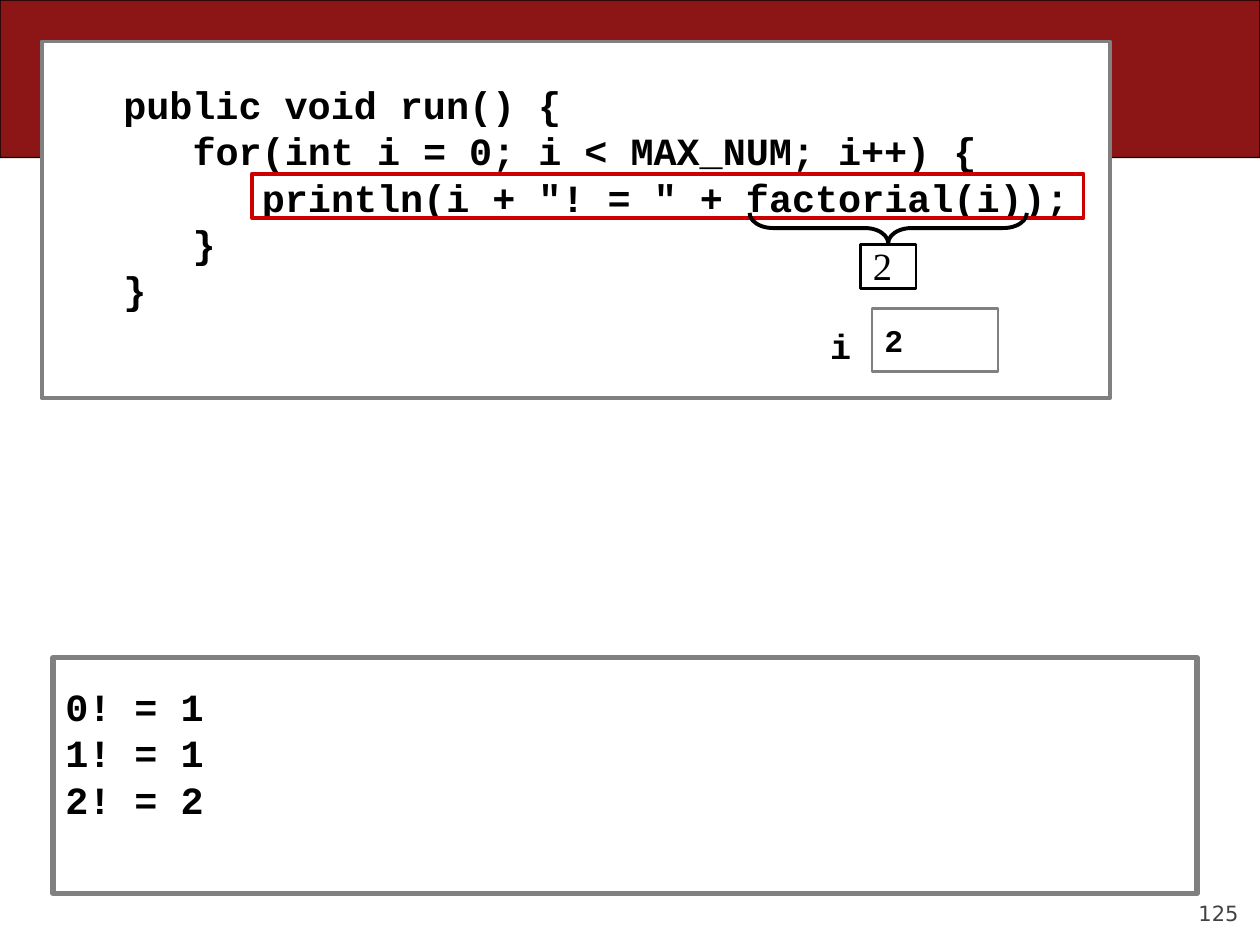
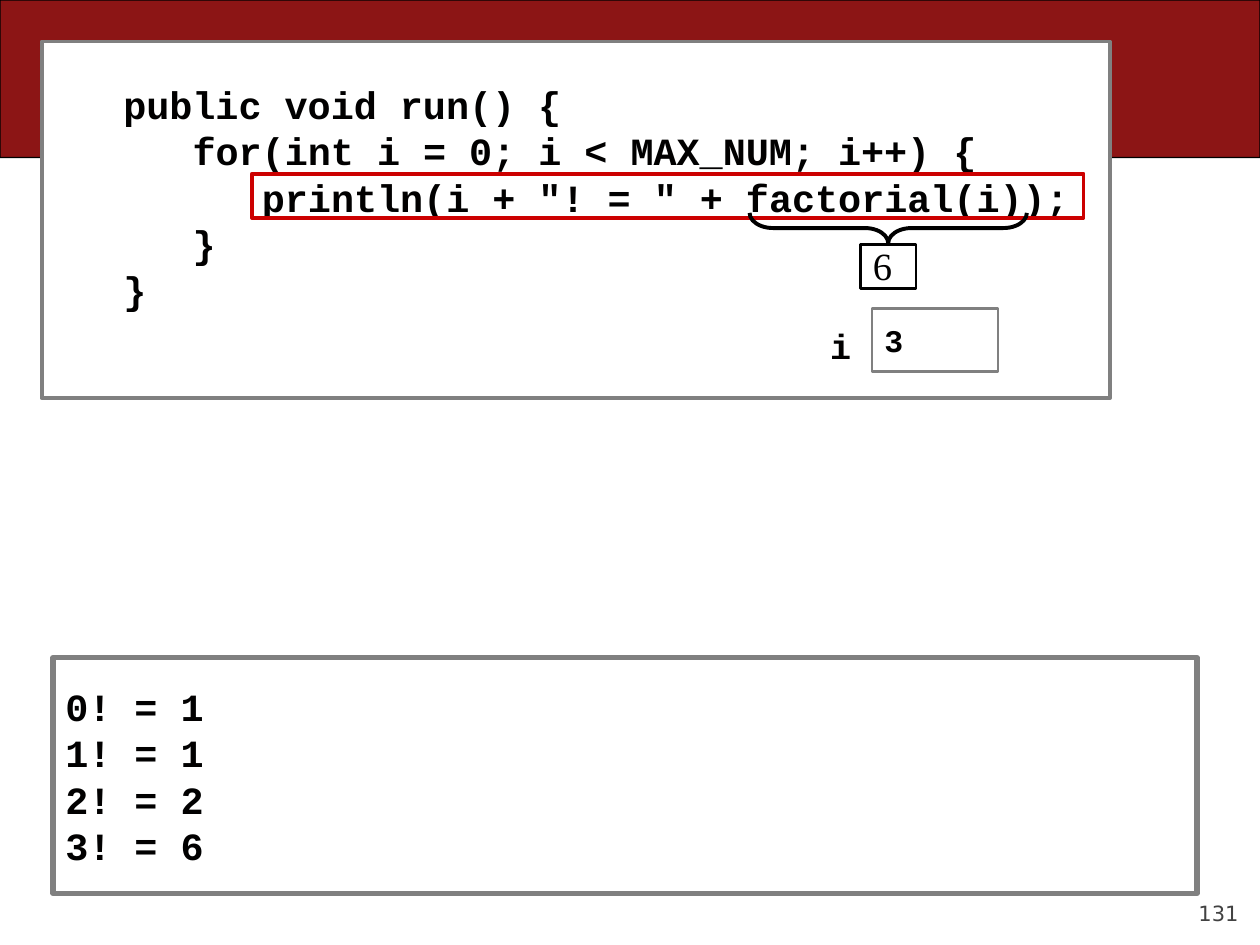
from math import factorial

from pptx import Presentation
from pptx import util as u
from pptx.dml.color import RGBColor
from pptx.enum import shapes, text

COLOURS = {
    "band": "8C1515", "paper": "FFFFFF", "frame": "808080", "ink": "010000",
    "black": "000000", "highlight": "CC0000", "number": "424242",
}
COLUMNS, ROWS = 100, 75
LINE_PITCH = 26.5
INDENT = 0.55
OUTPUT_LINES = 4
CODE_FONT = {"name": "Courier New", "size": u.Pt(22), "bold": True}
RUN_METHOD = [
    (1, "public void run() {"),
    (2, "for(int i = 0; i < MAX_NUM; i++) {"),
    (3, 'println(i + "! = " + factorial(i));'),
    (2, "}"),
    (1, "}"),
]
TRACES = [{"i": 2, "number": 125}, {"i": 3, "number": 131}]


class TraceDeck:
    """Draws each step of a program trace in one shared style."""

    def __init__(self):
        self.presentation = Presentation()
        self.presentation.slide_width = u.Inches(10)
        self.presentation.slide_height = u.Inches(7.5)
        self.slide = None

    def place(self, column, row, width, height):
        """Turn grid cells into slide lengths."""
        cell_width = self.presentation.slide_width / COLUMNS
        cell_height = self.presentation.slide_height / ROWS
        return [round(column * cell_width), round(row * cell_height),
                round(width * cell_width), round(height * cell_height)]

    def add_slide(self, number):
        """Start a slide with its page number and top band."""
        self.slide = self.presentation.slides.add_slide(self.presentation.slide_layouts[6])
        self.label(str(number), (90, 69.5, 8.3, 4), "number",
                   {"name": "DejaVu Sans", "size": u.Pt(12)},
                   {"alignment": text.PP_ALIGN.RIGHT, "space_before": u.Pt(5)},
                   {"vertical_anchor": text.MSO_ANCHOR.BOTTOM}, (0, 0, 0, 0))
        self.shape((0, 0, COLUMNS, 12.5), "black", 0.75, "band",
                   shapes.MSO_SHAPE.ROUNDED_RECTANGLE, (0.001,))

    def shape(self, cells, line, weight, fill=None,
              kind=shapes.MSO_SHAPE.RECTANGLE, adjustments=()):
        """Add an outlined preset shape."""
        shape = self.slide.shapes.add_shape(kind, *self.place(*cells))
        shape.shadow.inherit = False
        for index, value in enumerate(adjustments):
            shape.adjustments[index] = value
        if fill:
            shape.fill.solid()
            shape.fill.fore_color.rgb = RGBColor.from_string(COLOURS[fill])
        else:
            shape.fill.background()
        shape.line.color.rgb = RGBColor.from_string(COLOURS[line])
        shape.line.width = u.Pt(weight)
        return shape

    def set_lines(self, shape, lines, colour, font, paragraph_format=None,
                  frame_format=None, insets=(0.1, 0.05, 0.1, 0.05)):
        """Put (indent level, words) lines into a shape."""
        frame = shape.text_frame
        frame_values = {"word_wrap": True, "vertical_anchor": text.MSO_ANCHOR.MIDDLE}
        frame_values.update(frame_format or {})
        for side, inset in zip(("left", "top", "right", "bottom"), insets):
            frame_values[f"margin_{side}"] = u.Inches(inset)
        for name, value in frame_values.items():
            setattr(frame, name, value)
        paragraph_values = {"alignment": text.PP_ALIGN.LEFT, **(paragraph_format or {})}
        for index, (level, words) in enumerate(lines):
            paragraph = frame.add_paragraph() if index else frame.paragraphs[0]
            for name, value in paragraph_values.items():
                setattr(paragraph, name, value)
            if level:
                paragraph._p.get_or_add_pPr().set("marL", str(u.Inches(level * INDENT)))
            run = paragraph.add_run()
            run.text = words
            for name, value in font.items():
                setattr(run.font, name, value)
            run.font.color.rgb = RGBColor.from_string(COLOURS[colour])

    def label(self, words, cells, colour, font, *formats):
        """Add a plain line of text."""
        box = self.slide.shapes.add_textbox(*self.place(*cells))
        self.set_lines(box, [(0, words)], colour, font, *formats)

    def listing(self, cells, weight, lines, fill=None, spare_lines=0):
        """Add a framed block of code with spare lines below it."""
        bottom = 0.05 + spare_lines * LINE_PITCH / 72
        self.set_lines(self.shape(cells, "frame", weight, fill), lines, "ink", CODE_FONT,
                       {"line_spacing": u.Pt(LINE_PITCH)}, None, (0.1, 0.05, 0.1, bottom))

    def variable(self, name, value):
        """Show a variable's name beside its value."""
        box = self.shape((69.2, 24.5, 10, 5), "frame", 1.5, "paper")
        self.set_lines(box, [(0, str(value))], "ink", {**CODE_FONT, "size": u.Pt(18)})
        self.label(name, (64.9, 25.3, 5, 4.3), "ink", {**CODE_FONT, "size": u.Pt(20)},
                   {"space_before": u.Pt(10)}, {"vertical_anchor": text.MSO_ANCHOR.TOP})

    def call_result(self, value):
        """Mark the current line and brace its call with the value returned."""
        self.shape((20, 13.8, 66, 3.5), "highlight", 2.25)
        brace = self.shape((69.3, 7.1, 2.4, 22), "black", 2.25,
                           kind=shapes.MSO_SHAPE.LEFT_BRACE, adjustments=(0.772, 0.5))
        brace.rotation = 270
        box = self.shape((68.3, 19.4, 4.4, 3.5), "black", 1.5)
        self.set_lines(box, [(0, str(value))], "ink",
                       {"name": "Times New Roman", "size": u.Pt(22)},
                       insets=(0.1, 0.02, 0.1, 0.05))

    def trace(self, i, number):
        """Build the slide for one pass of the loop."""
        self.add_slide(number)
        self.listing((3.3, 3.3, 84.8, 28.3), 2.25, RUN_METHOD, "paper", 1)
        self.variable("i", i)
        self.call_result(factorial(i))
        printed = [(0, f"{n}! = {factorial(n)}") for n in range(i + 1)]
        self.listing((4.2, 52.2, 90.8, 18.7), 3, printed,
                     spare_lines=OUTPUT_LINES - len(printed))


def main():
    """Build and save the trace slides."""
    deck = TraceDeck()
    for step in TRACES:
        deck.trace(**step)
    deck.presentation.save("out.pptx")


if __name__ == "__main__":
    main()
